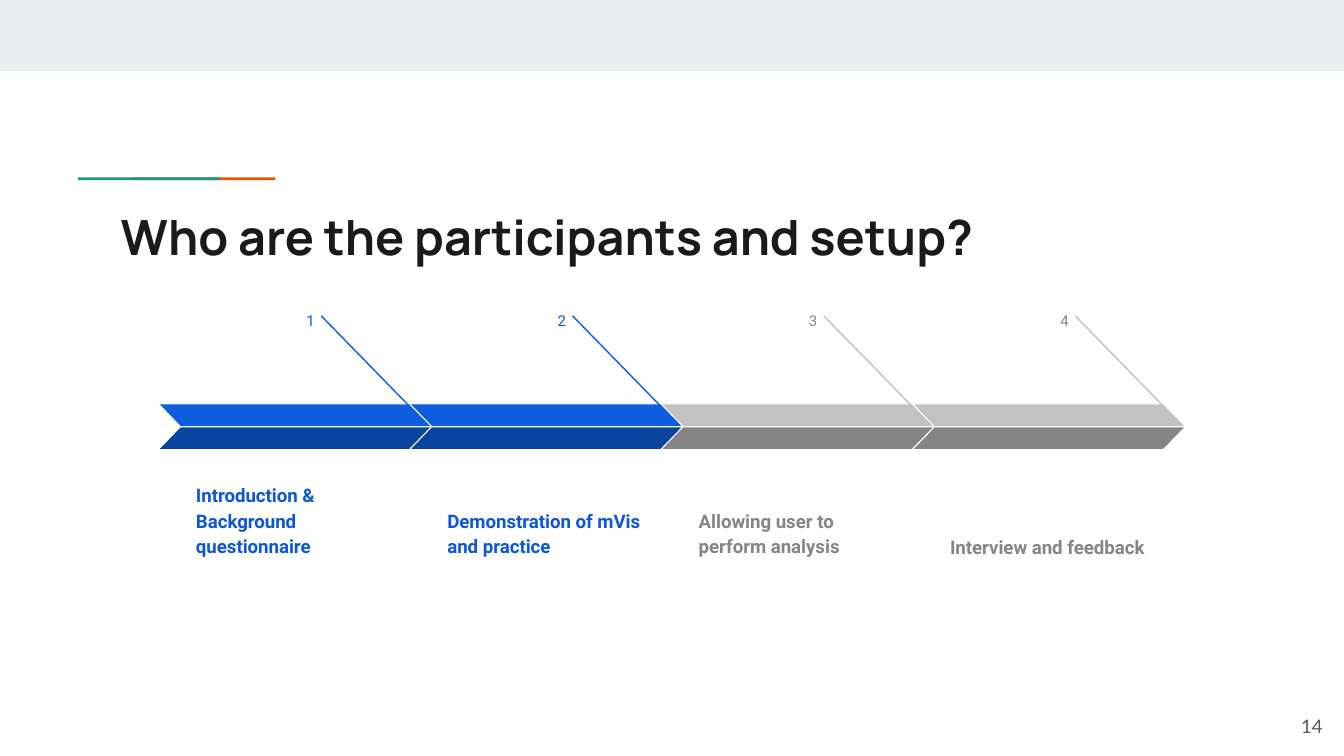
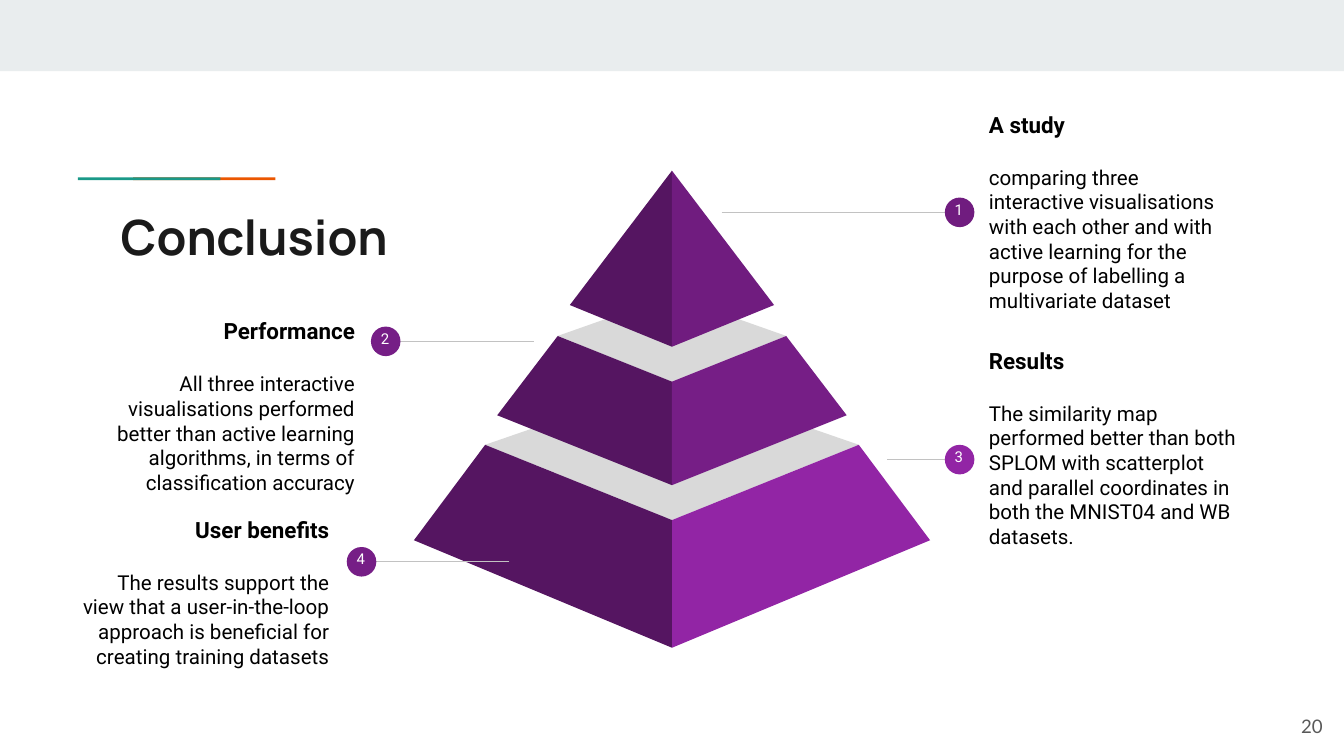
from lxml import etree
from pptx import Presentation
from pptx import util as u
from pptx.dml.color import RGBColor
from pptx.enum import shapes, text
from pptx.oxml import ns

# Shared look
SLIDE_WIDTH = 10
SLIDE_HEIGHT = SLIDE_WIDTH * 9 / 16
BAND, TEAL, ORANGE = "E9EDEE", "1A9988", "EB5600"
INK, PAGE_GRAY, BLACK, WHITE = "1A1A1A", "595959", "000000", "FFFFFF"
LINE_GRAY, LID_GRAY, DARK_GRAY = "C2C2C2", "D9D9D9", "858585"
BLUE, BLUE_DARK, BLUE_TEXT = "0D5DDF", "0944A1", "0C58D3"
PURPLE_DARK, PURPLE_TOP, PURPLE, PURPLE_BASE = "551561", "701C7F", "761E86", "9225A5"
LEFT, CENTER, RIGHT = text.PP_ALIGN.LEFT, text.PP_ALIGN.CENTER, text.PP_ALIGN.RIGHT
TOP, MIDDLE, BOTTOM = text.MSO_ANCHOR.TOP, text.MSO_ANCHOR.MIDDLE, text.MSO_ANCHOR.BOTTOM
MIDDLE_X = SLIDE_WIDTH / 2
NUMBER_INSET = 0.13

# Process steps: label, then upper, lower and text colours
ACTIVE = (BLUE, BLUE_DARK, BLUE_TEXT)
LATER = (LINE_GRAY, DARK_GRAY, DARK_GRAY)
STEPS = [
    ("Introduction & Background questionnaire", ACTIVE),
    ("Demonstration of mVis and practice", ACTIVE),
    ("Allowing user to perform analysis", LATER),
    ("Interview and feedback", LATER),
]
STEP_PITCH = 1.87

# Pyramid tiers: half width and y of shoulder and base, front edge y's, lid back y, right colour
TIERS = [
    ((1.39, 3.31), (1.92, 4.02), (3.87, 4.82), 2.83, PURPLE_BASE),
    ((0.85, 2.5), (1.3, 3.09), (2.84, 3.61), 2.2, PURPLE),
    ((0, 1.27), (0.76, 2.27), (1.27, 2.58), None, PURPLE_TOP),
]

# Callouts: number, heading, body, text box, bottom inset, alignment,
# badge left, badge centre y, line ends, badge colour
CALLOUTS = [
    ("3", "Results",
     "The similarity map performed better than both SPLOM with scatterplot "
     "and parallel coordinates in both the MNIST04 and WB datasets.",
     (7.26, 2.64, 2.04, 1.51), 0.23, LEFT, 7.03, 3.42, (6.6, 7.24), PURPLE_BASE),
    ("2", "Performance",
     "All three interactive visualisations performed better than active "
     "learning algorithms, in terms of classification accuracy",
     (0.7, 2.37, 2.04, 1.43), 0.23, RIGHT, 2.76, 2.54, (3.97, 2.83), PURPLE),
    ("1", "A study",
     "comparing three interactive visualisations with each other and with "
     "active learning for the purpose of labelling a multivariate dataset",
     (7.26, 0.96, 2.04, 1.36), 0.23, LEFT, 7.03, 1.58, (5.37, 7.24), PURPLE_TOP),
    ("4", "User benefits",
     "The results support the view that a user-in-the-loop approach is "
     "beneficial for creating training datasets",
     (0.51, 4.01, 2.04, 1.31), 0.62, RIGHT, 2.58, 4.18, (3.79, 2.65), PURPLE),
]


def color(value):
    return RGBColor.from_string(value)


def paint(shape, fill):
    shape.shadow.inherit = False
    shape.fill.solid()
    shape.fill.fore_color.rgb = color(fill)
    shape.line.fill.background()
    return shape


def add_block(slide, kind, box, fill):
    return paint(slide.shapes.add_shape(kind, *map(u.Inches, box)), fill)


def add_polygon(slide, points, fill):
    start, *rest = [(u.Inches(x), u.Inches(y)) for x, y in points]
    builder = slide.shapes.build_freeform(*start)
    builder.add_line_segments(rest, close=True)
    return paint(builder.convert_to_shape(), fill)


def add_line(slide, start, end, line_color):
    ends = map(u.Inches, (*start, *end))
    connector = slide.shapes.add_connector(shapes.MSO_CONNECTOR.STRAIGHT, *ends)
    connector.line.color.rgb = color(line_color)
    connector.line.width = u.Pt(0.75)
    etree.SubElement(connector._element.spPr, ns.qn("a:effectLst"))


def add_text(slide, box, anchor=TOP, top_inset=0.1, bottom_inset=0.1):
    frame = slide.shapes.add_textbox(*map(u.Inches, box)).text_frame
    frame.word_wrap = True
    frame.vertical_anchor = anchor
    frame.margin_left = frame.margin_right = u.Inches(0.1)
    frame.margin_top = u.Inches(top_inset)
    frame.margin_bottom = u.Inches(bottom_inset)
    return frame


def write(paragraph, words, size, text_color, font="Roboto", bold=False, align=LEFT, spacing=None):
    paragraph.alignment = align
    paragraph.line_spacing = spacing
    run = paragraph.add_run()
    run.text = words
    run.font.name = font
    run.font.size = u.Pt(size)
    run.font.bold = bold
    run.font.color.rgb = color(text_color)


def add_base_slide(presentation, title, number):
    slide = presentation.slides.add_slide(presentation.slide_layouts[6])
    rectangle = shapes.MSO_SHAPE.RECTANGLE
    add_block(slide, rectangle, (0, 0, SLIDE_WIDTH, 0.53), BAND)
    add_block(slide, rectangle, (0.99, 1.32, 1.06, 0.02), ORANGE)
    add_block(slide, rectangle, (0.58, 1.32, 1.06, 0.02), TEAL)
    title_frame = add_text(slide, (0.8, 1.44, 8.41, 0.59))
    write(title_frame.paragraphs[0], title, 26, INK, "Manrope", bold=True)
    page_frame = add_text(slide, (9.34, 5.19, 0.6, 0.43), MIDDLE)
    write(page_frame.paragraphs[0], number, 10, PAGE_GRAY, "Lato", align=RIGHT)
    return slide


def add_step(slide, index, label, colors):
    upper, lower, text_color = colors
    shift = index * STEP_PITCH
    number_frame = add_text(slide, (1.76 + shift, 2.21, 0.68, 0.26), top_inset=NUMBER_INSET)
    write(number_frame.paragraphs[0], str(index + 1), 8, text_color, align=RIGHT, spacing=1.15)
    label_frame = add_text(slide, (1.36 + shift, 3.44, 1.65, 0.81), BOTTOM)
    write(label_frame.paragraphs[0], label, 10, text_color, bold=True, spacing=1.15)
    add_line(slide, (2.39 + shift, 2.35), (3.18 + shift, 3.16), upper)
    # Two mirrored halves form the chevron
    for top, fill in ((3.01, upper), (3.18, lower)):
        half = add_block(slide, shapes.MSO_SHAPE.PARALLELOGRAM, (1.19 + shift, top, 2.01, 0.16), fill)
        half.adjustments[0] = 0.97
        if fill == upper:
            half._element.spPr.xfrm.set("flipH", "1")


def add_tier(slide, shoulder, base, front, back, right_color):
    half_width, shoulder_y = shoulder
    if back is not None:
        lid = [(MIDDLE_X - half_width, shoulder_y), (MIDDLE_X, front[0]),
               (MIDDLE_X + half_width, shoulder_y), (MIDDLE_X, back)]
        add_polygon(slide, lid, LID_GRAY)
    for side, fill in ((-1, PURPLE_DARK), (1, right_color)):
        face = [shoulder, base, (0, front[1]), (0, front[0])]
        add_polygon(slide, [(MIDDLE_X + side * x, y) for x, y in face], fill)


def add_callout(slide, number, heading, body, box, inset, align, badge_x, y, line_ends, fill):
    frame = add_text(slide, box, MIDDLE, bottom_inset=inset)
    write(frame.paragraphs[0], heading, 12, BLACK, bold=True, align=align)
    paragraph = frame.add_paragraph()
    paragraph.space_before = u.Pt(14.5)
    write(paragraph, body, 11, BLACK, align=align)
    add_line(slide, (line_ends[0], y), (line_ends[1], y), LINE_GRAY)
    add_block(slide, shapes.MSO_SHAPE.OVAL, (badge_x, y - 0.11, 0.22, 0.22), fill)
    number_frame = add_text(slide, (badge_x - 0.03, y - 0.17, 0.27, 0.34), top_inset=NUMBER_INSET)
    write(number_frame.paragraphs[0], number, 8, WHITE, align=CENTER)


def main():
    presentation = Presentation()
    presentation.slide_width = u.Inches(SLIDE_WIDTH)
    presentation.slide_height = u.Inches(SLIDE_HEIGHT)

    # Study process
    slide = add_base_slide(presentation, "Who are the participants and setup?", "14")
    for index, (label, colors) in enumerate(STEPS):
        add_step(slide, index, label, colors)

    # Conclusion pyramid
    slide = add_base_slide(presentation, "Conclusion", "20")
    for tier in TIERS:
        add_tier(slide, *tier)
    for callout in CALLOUTS:
        add_callout(slide, *callout)

    presentation.save("out.pptx")


if __name__ == "__main__":
    main()
